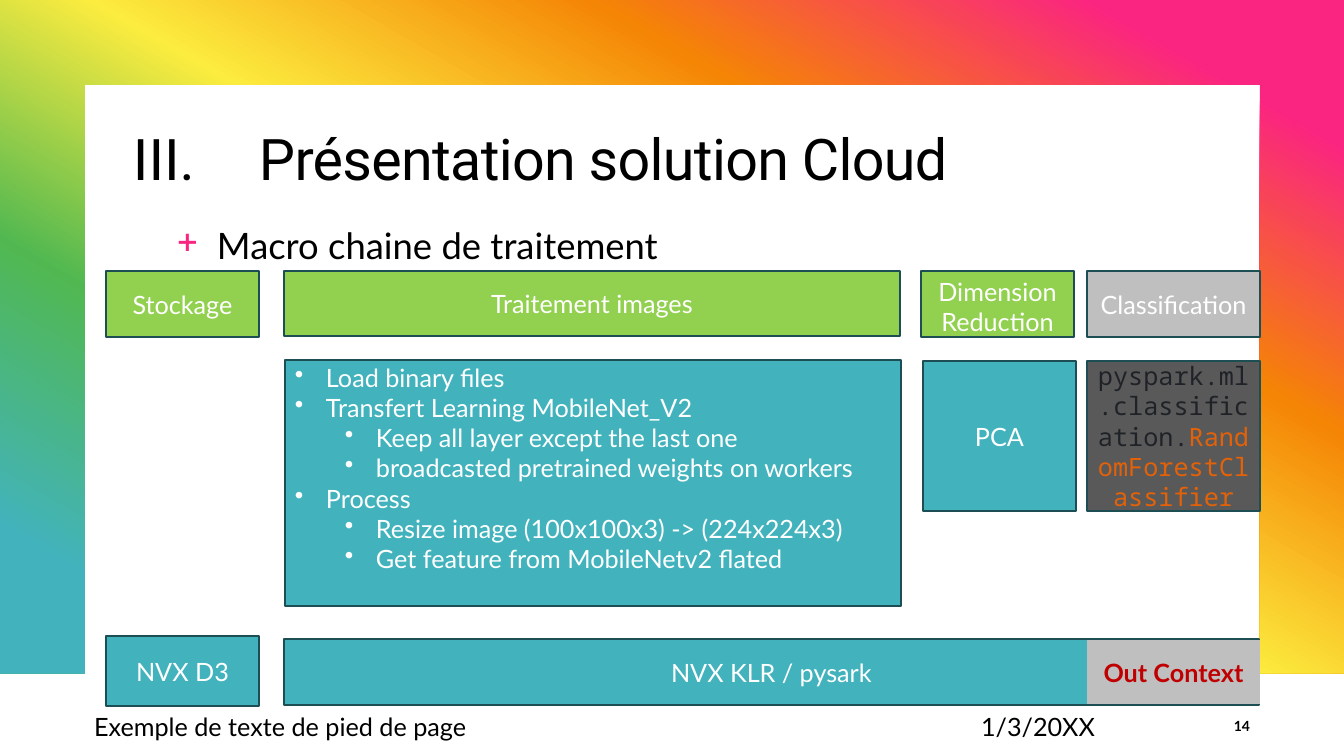
from dataclasses import dataclass
from typing import Any, Optional

from lxml.etree import SubElement
from pptx import Presentation
from pptx.dml.color import RGBColor
from pptx.enum.text import MSO_ANCHOR as Anchor, PP_ALIGN as Align
from pptx.oxml.ns import qn
from pptx.util import Emu, Pt

EMU_PER_PX = 914400 / 100.8
SLIDE_W, SLIDE_H = 1344, 756

TEAL, GREEN, GREY, DARK_GREY = "42B3BD", "92D050", "BFBFBF", "595959"
BORDER, WHITE, BLACK, PINK, RED = "1D4E53", "FFFFFF", "000000", "FA2481", "C00000"
RAINBOW = {10: PINK, 30: "F58505", 50: "FCEC3F", 70: "51B851", 90: TEAL}


@dataclass
class Run:
    text: str
    size: int = 18
    color: str = WHITE
    font: str = "Lato"
    bold: bool = False
    spacing: int = 0  # hundredths of a point


@dataclass
class Bullet:
    tag: str
    values: dict[str, str]
    margin: int
    hang: int
    color: Optional[str] = None


@dataclass
class Para:
    runs: list[Run]
    align: Align = Align.LEFT
    line_spacing: float = 1.0
    level: int = 0
    bullet: Optional[Bullet] = None


@dataclass
class Box:
    left: int
    top: int
    width: int
    height: int
    paras: list[Para]
    fill: Optional[str] = None
    border: Optional[str] = BORDER
    anchor: Anchor = Anchor.MIDDLE
    inset_top: int = 5


def px(length: int) -> Emu:
    return Emu(round(length * EMU_PER_PX))


def rgb(color: str) -> RGBColor:
    return RGBColor.from_string(color)


def apply(target: Any, values: dict[str, Any]) -> None:
    for name, value in values.items():
        setattr(target, name, value)


def add_bullet(paragraph: Any, bullet: Bullet) -> None:
    props = paragraph._p.get_or_add_pPr()
    props.set("marL", str(px(bullet.margin)))
    props.set("indent", str(-px(bullet.hang)))
    if bullet.color:
        bullet_color = SubElement(props, qn("a:buClr"))
        SubElement(bullet_color, qn("a:srgbClr"), val=bullet.color)
    SubElement(props, qn(f"a:{bullet.tag}"), bullet.values)


def write_para(paragraph: Any, para: Para) -> None:
    apply(paragraph, {"alignment": para.align, "level": para.level,
                      "line_spacing": para.line_spacing})
    if para.bullet:
        add_bullet(paragraph, para.bullet)
    for piece in para.runs:
        run = paragraph.add_run()
        run.text = piece.text
        apply(run.font, {"name": piece.font, "size": Pt(piece.size), "bold": piece.bold})
        run.font.color.rgb = rgb(piece.color)
        if piece.spacing:
            run._r.get_or_add_rPr().set("spc", str(piece.spacing))


def draw_box(shapes: Any, box: Box) -> None:
    place = [px(n) for n in (box.left, box.top, box.width, box.height)]
    if box.fill:
        shape = shapes.add_shape(1, *place)  # 1 = rectangle
        shape.shadow.inherit = False
        shape.fill.solid()
        shape.fill.fore_color.rgb = rgb(box.fill)
        if box.border:
            shape.line.color.rgb = rgb(box.border)
            shape.line.width = Pt(1)
        else:
            shape.line.fill.background()
    else:
        shape = shapes.add_textbox(*place)
    frame = shape.text_frame
    apply(frame, {"word_wrap": True, "vertical_anchor": box.anchor,
                  "margin_left": px(10), "margin_right": px(10),
                  "margin_top": px(box.inset_top), "margin_bottom": px(5)})
    for index, para in enumerate(box.paras):
        write_para(frame.add_paragraph() if index else frame.paragraphs[0], para)


def draw_rainbow_frame(shapes: Any) -> None:
    bottom, inner_left, inner_right, inner_top = 673, 85, 1260, 85
    outline = [(SLIDE_W, 0), (SLIDE_W, bottom), (inner_right, bottom),
               (inner_right, inner_top), (inner_left, inner_top),
               (inner_left, bottom), (0, bottom)]
    builder = shapes.build_freeform(0, 0, scale=EMU_PER_PX)
    builder.add_line_segments(outline, close=True)
    rainbow = builder.convert_to_shape()
    rainbow.shadow.inherit = False
    rainbow.line.fill.background()
    rainbow.fill.gradient()
    rainbow.fill.gradient_angle = 240
    stops = rainbow._element.spPr.find(qn("a:gradFill")).find(qn("a:gsLst"))
    for old_stop in list(stops):
        stops.remove(old_stop)
    for percent, color in RAINBOW.items():
        stop = SubElement(stops, qn("a:gs"), pos=str(percent * 1000))
        SubElement(stop, qn("a:srgbClr"), val=color)


def label(text: str, color: str = WHITE, bold: bool = False) -> list[Para]:
    return [Para([Run(text, color=color, bold=bold)], Align.CENTER)]


def footer(text: str, size: int = 18, align: Align = Align.LEFT, bold: bool = False) -> list[Para]:
    return [Para([Run(text, size, BLACK, bold=bold)], align)]


def step(text: str, level: int = 0) -> Para:
    dot = Bullet("buChar", {"char": "•"}, margin=31 + 50 * level, hang=31)
    return Para([Run(text)], level=level, bullet=dot)


NUMBER = Bullet("buAutoNum", {"type": "romanUcPeriod", "startAt": "3"}, 126, 126)
PLUS = Bullet("buChar", {"char": "+"}, 40, 40, PINK)
TITLE = Para([Run("Présentation solution Cloud", 41, BLACK, "Roboto", spacing=-50)],
             line_spacing=0.95, bullet=NUMBER)
SUBTITLE = Para([Run("Macro chaine de traitement", 26, BLACK)], line_spacing=1.05, bullet=PLUS)
STEPS = [
    step("Load binary files"),
    step("Transfert Learning MobileNet_V2"),
    step("Keep all layer except the last one", 1),
    step("broadcasted pretrained weights on workers", 1),
    step("Process"),
    step("Resize image (100x100x3) -> (224x224x3)", 1),
    step("Get feature from MobileNetv2 flated", 1),
]
CLASSIFIER = Para([Run("pyspark.ml.classification.", color="1F2328", font="Noto Sans Mono"),
                   Run("RandomForestClassifier", color="E36209", font="Noto Sans Mono")],
                  Align.CENTER)

BOXES = [
    # Heading and footer
    Box(167, 216, 1008, 457, [SUBTITLE], anchor=Anchor.TOP),
    Box(84, 706, 672, 40, footer("Exemple de texte de pied de page"), anchor=Anchor.TOP),
    Box(971, 706, 206, 40, footer("1/3/20XX"), anchor=Anchor.TOP),
    Box(1202, 706, 58, 40, footer("14", 10, Align.RIGHT, True)),
    Box(123, 120, 1119, 82, [TITLE]),
    # Stage headers
    Box(106, 271, 153, 66, label("Stockage"), GREEN),
    Box(284, 271, 616, 65, label("Traitement images"), GREEN),
    Box(921, 271, 153, 66, label("Dimension Reduction"), GREEN, anchor=Anchor.TOP),
    Box(1087, 271, 173, 66, label("Classification"), GREY),
    # Stage contents
    Box(285, 360, 616, 246, STEPS, TEAL, anchor=Anchor.TOP, inset_top=2),
    Box(923, 361, 153, 150, label("PCA"), TEAL),
    Box(1087, 361, 173, 150, [CLASSIFIER], DARK_GREY),
    # Platforms
    Box(106, 636, 153, 70, label("NVX D3"), TEAL),
    Box(284, 639, 975, 66, label("NVX KLR / pysark"), TEAL),
    Box(1087, 640, 173, 64, label("Out Context", RED, True), GREY, border=None),
]


def main() -> None:
    deck = Presentation()
    apply(deck, {"slide_width": px(SLIDE_W), "slide_height": px(SLIDE_H)})
    shapes = deck.slides.add_slide(deck.slide_layouts[6]).shapes
    draw_rainbow_frame(shapes)
    for box in BOXES:
        draw_box(shapes, box)
    deck.save("out.pptx")


if __name__ == "__main__":
    main()
